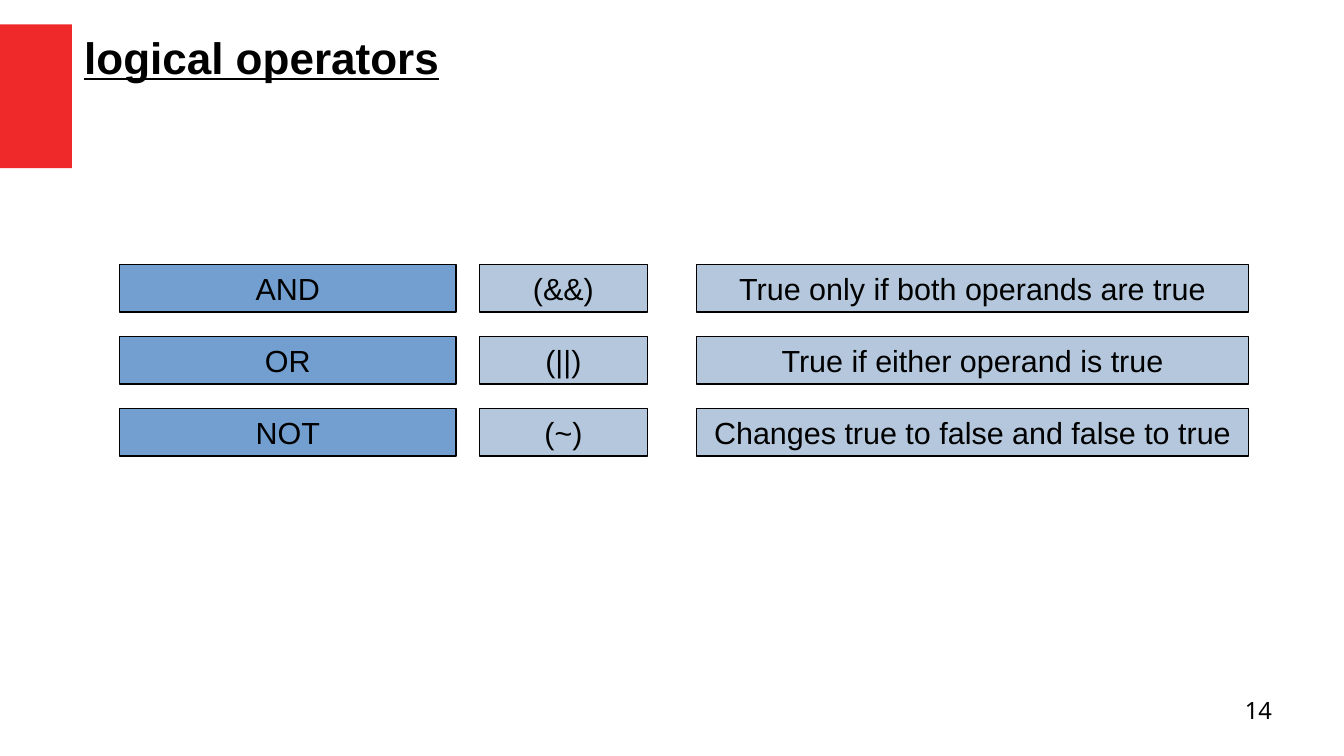
"""Build a slide that lists the logical operators."""
from pptx import Presentation
from pptx.dml.color import RGBColor
from pptx.enum import shapes, text
from pptx.util import Inches, Pt

HUES = {"red": "EF2929", "blue": "729FCF", "pale": "B4C7DC", "ink": "000000"}
COLS = [(0.98, 2.76, "blue"), (3.93, 1.38, "pale"), (5.71, 4.53, "pale")]
ROWS = [
    ("AND", "(&&)", "True only if both operands are true"),
    ("OR", "(||)", "True if either operand is true"),
    ("NOT", "(~)", "Changes true to false and false to true"),
]
TOP, STEP, HIGH = 2.17, 0.59, 0.39


def add_box(left, top, width, height, hue):
    box = slide.shapes.add_shape(
        shapes.MSO_SHAPE.RECTANGLE,
        Inches(left), Inches(top), Inches(width), Inches(height))
    box.shadow.inherit = False
    box.fill.solid()
    box.fill.fore_color.rgb = RGBColor.from_string(HUES[hue])
    box.line.fill.background()
    return box


def add_words(frame, words, size, align, face="Arial"):
    para = frame.paragraphs[0]
    para.alignment = align
    run = para.add_run()
    run.text = words
    run.font.size = Pt(size)
    run.font.name = face
    run.font.color.rgb = RGBColor.from_string(HUES["ink"])
    return run


deck = Presentation()
deck.slide_width, deck.slide_height = Inches(11.02), Inches(6.2)
slide = deck.slides.add_slide(deck.slide_layouts[5])

add_box(0, 0.2, 0.59, 1.18, "red")

title = slide.shapes.title
title.left, title.top = Inches(0.59), Inches(0.2)
title.width, title.height = Inches(4.13), Inches(0.5)
title.text_frame.vertical_anchor = text.MSO_ANCHOR.TOP
title.text_frame.auto_size = text.MSO_AUTO_SIZE.NONE
head = add_words(title.text_frame, "logical operators", 26, text.PP_ALIGN.LEFT)
head.font.bold = True
head.font.underline = True

for i, row in enumerate(ROWS):
    for words, (left, width, hue) in zip(row, COLS):
        box = add_box(left, TOP + i * STEP, width, HIGH, hue)
        box.line.color.rgb = RGBColor.from_string(HUES["ink"])
        box.line.width = Pt(0.85)
        box.text_frame.word_wrap = False
        box.text_frame.vertical_anchor = text.MSO_ANCHOR.MIDDLE
        add_words(box.text_frame, words, 18, text.PP_ALIGN.CENTER)

page = slide.shapes.add_textbox(
    Inches(7.87), Inches(5.71), Inches(2.56), Inches(0.43)).text_frame
page.word_wrap = True
page.margin_left = page.margin_top = page.margin_right = page.margin_bottom = 0
add_words(page, "14", 14, text.PP_ALIGN.RIGHT, "Noto Sans")

deck.save("out.pptx")
